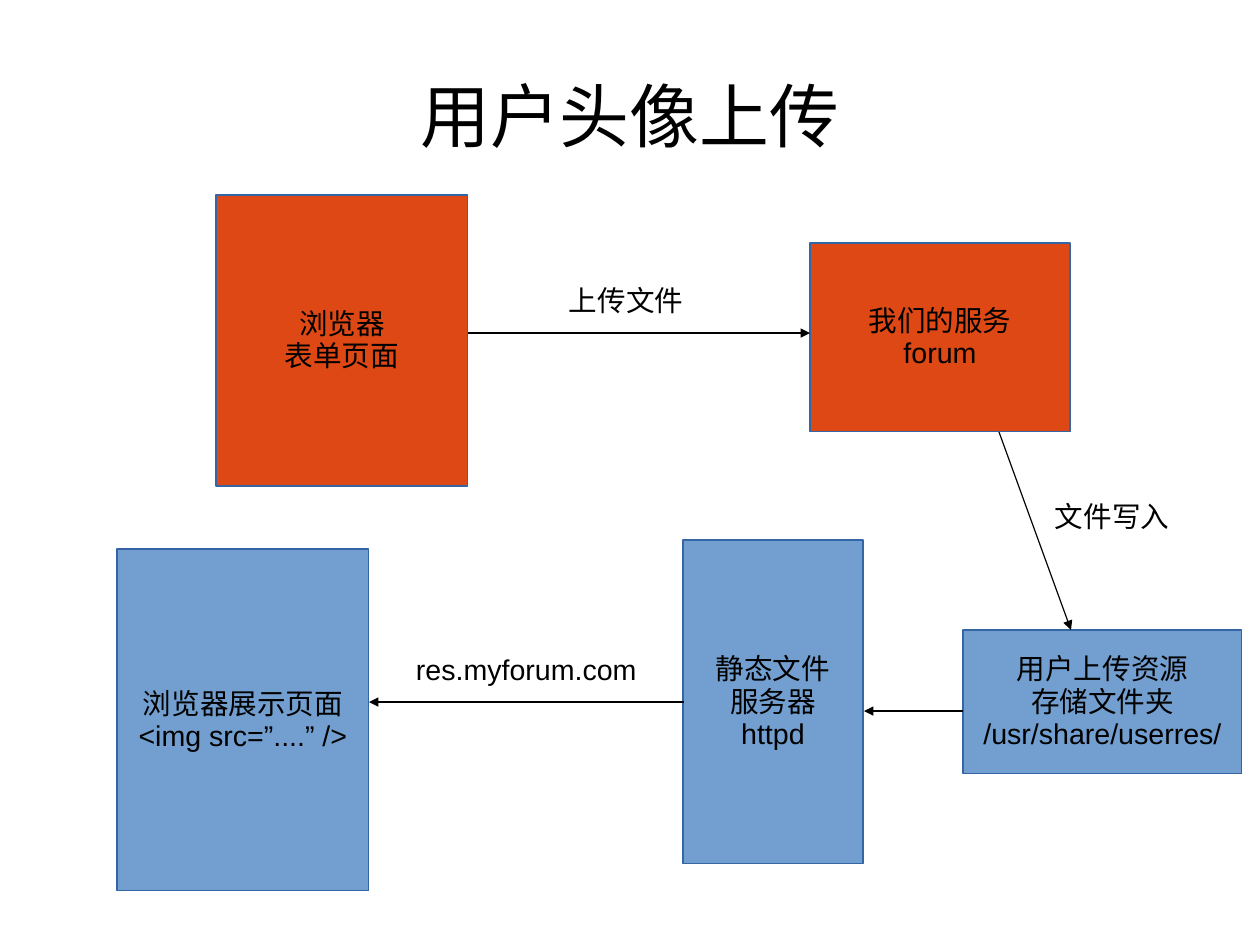
from pptx import Presentation
from pptx.dml.color import RGBColor
from pptx.enum.shapes import MSO_CONNECTOR, MSO_SHAPE
from pptx.enum.text import MSO_ANCHOR, PP_ALIGN
from pptx.oxml.ns import qn
from pptx.util import Emu, Pt
from lxml import etree

RECTANGLE = MSO_SHAPE.RECTANGLE
STRAIGHT = MSO_CONNECTOR.STRAIGHT
TOP, MIDDLE = MSO_ANCHOR.TOP, MSO_ANCHOR.MIDDLE
LEFT, CENTER = PP_ALIGN.LEFT, PP_ALIGN.CENTER

PX = 8000  # EMU in one px
ORANGE, BLUE, OUTLINE, BLACK = "DD4814", "729FCF", "3465A4", "000000"


def color(value):
    return RGBColor.from_string(value)


def write_text(shape, lines, size, align, anchor, margins, wrap):
    frame = shape.text_frame
    frame.word_wrap = wrap
    frame.vertical_anchor = anchor
    (frame.margin_left, frame.margin_top,
     frame.margin_right, frame.margin_bottom) = [Emu(m * PX) for m in margins]
    for index, line in enumerate(lines):
        paragraph = frame.add_paragraph() if index else frame.paragraphs[0]
        paragraph.alignment = align
        paragraph.line_spacing = 0.94
        run = paragraph.add_run()
        run.text = line
        run.font.size = Pt(size)
        run.font.name = "Arial"
        run.font.color.rgb = color(BLACK)


presentation = Presentation()
presentation.slide_width = Emu(1260 * PX)
presentation.slide_height = Emu(945 * PX)
slide = presentation.slides.add_slide(presentation.slide_layouts[6])

# Title
title = slide.shapes.add_textbox(*[Emu(v * PX) for v in (63, 38, 1134, 158)])
write_text(title, ["用户头像上传"], 44, CENTER, MIDDLE, (0, 4, 0, 0), True)

# Boxes: upload side in orange, display side in blue
boxes = [
    ((216, 195, 252, 291), ORANGE, ["浏览器", "表单页面"]),
    ((810, 243, 260, 189), ORANGE, ["我们的服务", "forum"]),
    ((963, 630, 279, 144), BLUE,
     ["用户上传资源", "存储文件夹", "/usr/share/userres/"]),
    ((683, 540, 180, 324), BLUE, ["静态文件", "服务器", "httpd"]),
    ((117, 549, 252, 342), BLUE, ["浏览器展示页面", "<img src=”....” />"]),
]
for bounds, fill, lines in boxes:
    box = slide.shapes.add_shape(RECTANGLE, *[Emu(v * PX) for v in bounds])
    box.shadow.inherit = False
    box.fill.solid()
    box.fill.fore_color.rgb = color(fill)
    box.line.color.rgb = color(OUTLINE)
    box.line.width = Pt(0.75)
    write_text(box, lines, 18, CENTER, MIDDLE, (11, 7, 11, 6), False)

# Arrows between the boxes
arrows = [
    (468, 333, 810, 333),
    (999, 432, 1071, 630),
    (963, 711, 864, 711),
    (684, 702, 369, 702),
]
for ends in arrows:
    arrow = slide.shapes.add_connector(STRAIGHT, *[Emu(v * PX) for v in ends])
    arrow.line.color.rgb = color(BLACK)
    arrow.line.width = Pt(0.75)
    properties = arrow.element.find(qn("p:spPr"))
    outline = properties.find(qn("a:ln"))
    etree.SubElement(outline, qn("a:tailEnd"), type="triangle")
    etree.SubElement(properties, qn("a:effectLst"))

# Arrow labels
labels = [
    ((558, 279, 137, 49), "上传文件"),
    ((1044, 495, 137, 49), "文件写入"),
    ((405, 648, 243, 43), "res.myforum.com"),
]
for bounds, text in labels:
    label = slide.shapes.add_textbox(*[Emu(v * PX) for v in bounds])
    write_text(label, [text], 18, LEFT, TOP, (11, 7, 11, 6), False)

presentation.save("out.pptx")
